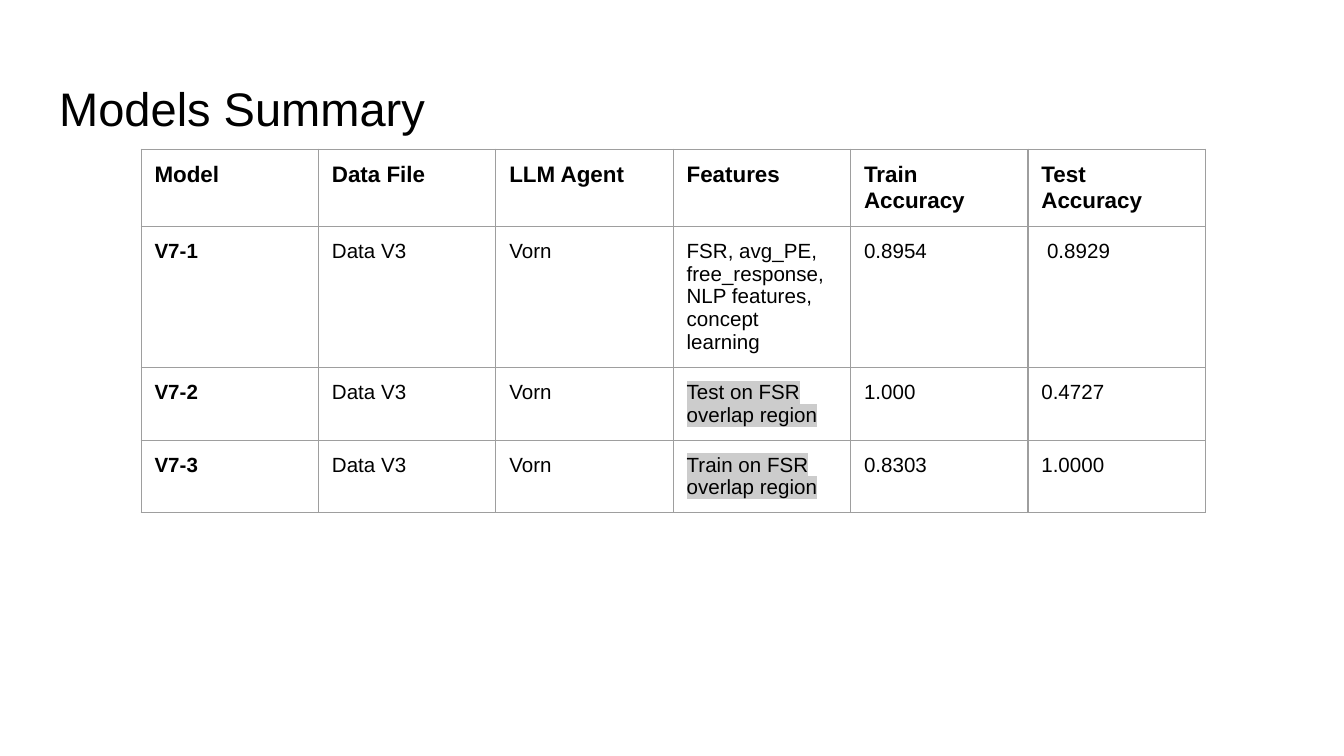
from lxml import etree
from pptx import Presentation
from pptx.dml.color import RGBColor
from pptx.enum.text import MSO_ANCHOR, MSO_AUTO_SIZE, PP_ALIGN
from pptx.oxml.ns import qn
from pptx.util import Inches, Pt

MIDDLE = MSO_ANCHOR.MIDDLE
TOP = MSO_ANCHOR.TOP
LEFT = PP_ALIGN.LEFT
FIXED = MSO_AUTO_SIZE.NONE

BLACK = RGBColor(0x00, 0x00, 0x00)
WHITE = RGBColor(0xFF, 0xFF, 0xFF)
GREY = RGBColor(0x9E, 0x9E, 0x9E)
MARK = RGBColor(0xCC, 0xCC, 0xCC)

FONT = "Arial"
WIDTH = Inches(10)
HEIGHT = WIDTH * 9 // 16
PAD = Inches(0.1)
COL = Inches(1.32)
ROW = Inches(0.42)

HEAD = ["Model", "Data File", "LLM Agent", "Features", "Train Accuracy", "Test Accuracy"]
BODY = [
    ["V7-1", "Data V3", "Vorn",
     "FSR, avg_PE, free_response, NLP features, concept learning", "0.8954", " 0.8929"],
    ["V7-2", "Data V3", "Vorn", "Test on FSR overlap region", "1.000", "0.4727"],
    ["V7-3", "Data V3", "Vorn", "Train on FSR overlap region", "0.8303", "1.0000"],
]


def add_color(node, color):
    fill = etree.SubElement(node, qn("a:solidFill"))
    etree.SubElement(fill, qn("a:srgbClr"), val=str(color))


def write(frame, text, size=11, bold=False, color=BLACK, mark=None):
    frame.word_wrap = True
    para = frame.paragraphs[0]
    para.alignment = LEFT
    run = para.add_run()
    run.text = text
    font = run.font
    font.size = Pt(size)
    font.bold = bold
    font.color.rgb = color
    font.name = FONT
    if mark is not None:
        light = etree.Element(qn("a:highlight"))
        etree.SubElement(light, qn("a:srgbClr"), val=str(mark))
        run._r.rPr.find(qn("a:solidFill")).addnext(light)


def set_pad(box):
    box.margin_left = box.margin_right = PAD
    box.margin_top = box.margin_bottom = PAD


def add_title(slide, text):
    title = slide.shapes.title
    title.left, title.top = Inches(0.34), Inches(0.49)
    title.width, title.height = Inches(9.32), Inches(0.63)
    frame = title.text_frame
    set_pad(frame)
    frame.auto_size = FIXED
    frame.vertical_anchor = MIDDLE
    write(frame, text, size=25.2)


def set_edges(cell):
    props = cell._tc.get_or_add_tcPr()
    for pos, side in enumerate(("lnL", "lnR", "lnT", "lnB")):
        edge = etree.Element(qn(f"a:{side}"), w=str(Pt(0.75)))
        add_color(edge, GREY)
        props.insert(pos, edge)


def add_grid(slide, rows):
    count, wide = len(rows), len(rows[0])
    frame = slide.shapes.add_table(
        count, wide, Inches(1.05), Inches(1.11), COL * wide, ROW * count)
    table = frame.table
    table.first_row = table.horz_banding = False
    for col in table.columns:
        col.width = COL
    for r, row in enumerate(rows):
        table.rows[r].height = ROW
        for c, text in enumerate(row):
            cell = table.cell(r, c)
            set_pad(cell)
            cell.vertical_anchor = TOP
            cell.fill.background()
            set_edges(cell)
            write(cell.text_frame, text,
                  size=12 if r == 0 else 11,
                  bold=r == 0 or c == 0,
                  mark=MARK if r > 1 and c == 3 else None)


def main():
    deck = Presentation()
    deck.slide_width, deck.slide_height = WIDTH, HEIGHT
    slide = deck.slides.add_slide(deck.slide_layouts[5])
    back = slide.background.fill
    back.solid()
    back.fore_color.rgb = WHITE
    add_title(slide, "Models Summary")
    add_grid(slide, [HEAD] + BODY)
    deck.save("out.pptx")


if __name__ == "__main__":
    main()
